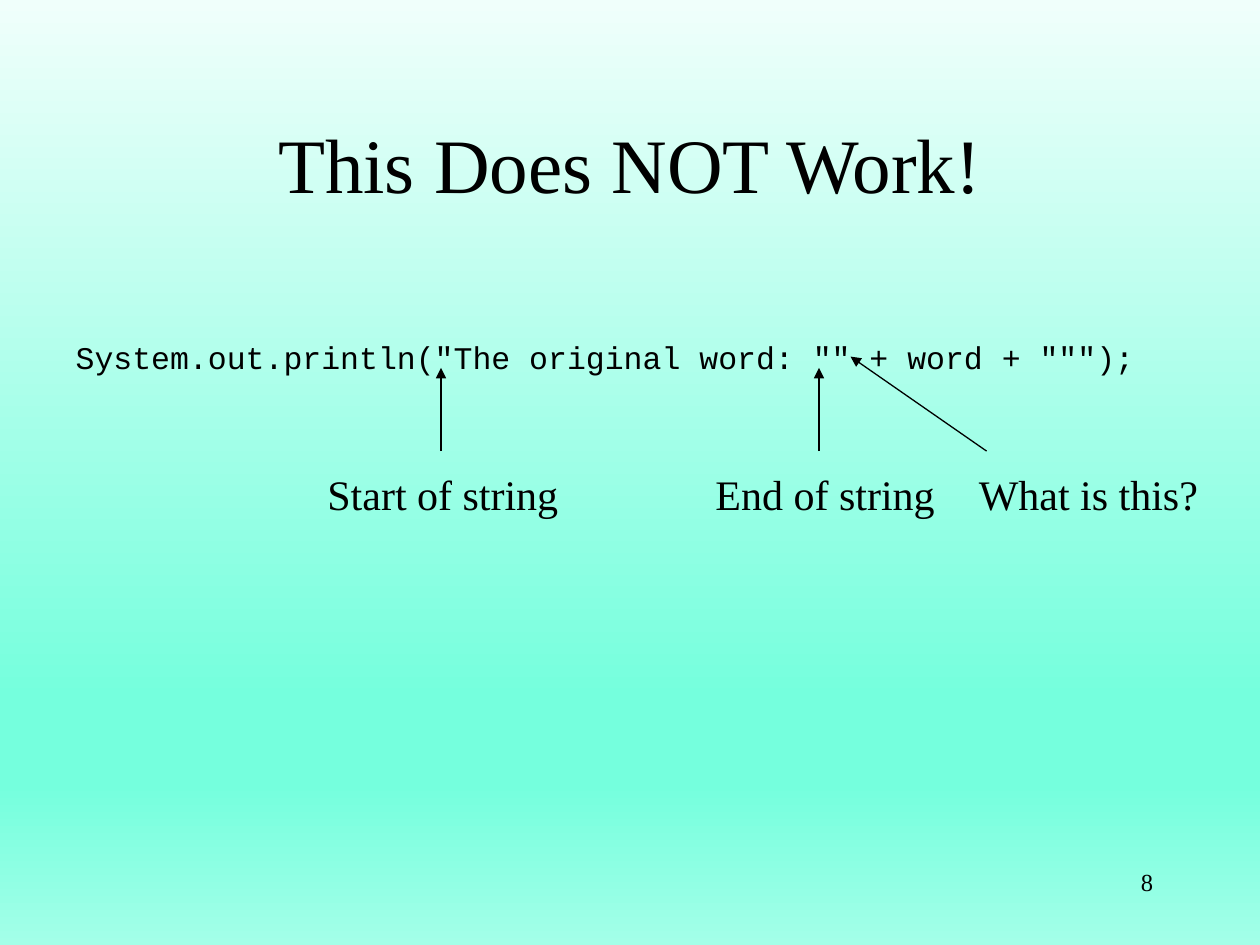
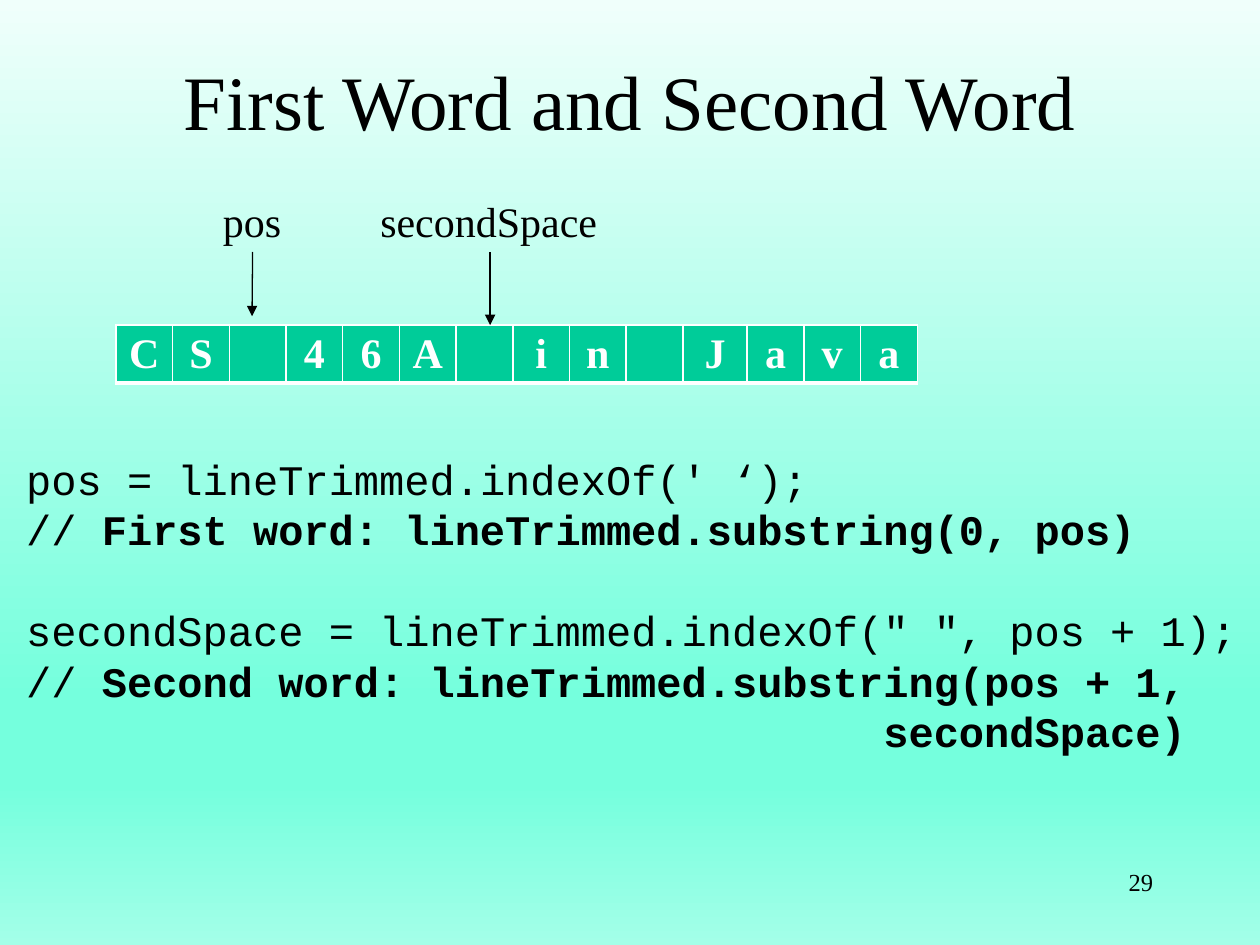
from dataclasses import dataclass
from typing import Optional

import lxml.etree
import pptx
import pptx.dml.color
import pptx.enum.shapes
import pptx.enum.text
import pptx.oxml
import pptx.oxml.ns
import pptx.util

Inches = pptx.util.Inches
Pt = pptx.util.Pt
Align = pptx.enum.text.PP_ALIGN
Anchor = pptx.enum.text.MSO_ANCHOR
Fit = pptx.enum.text.MSO_AUTO_SIZE
qn = pptx.oxml.ns.qn

SERIF, MONO = "Times New Roman", "Courier New"
BLACK, WHITE, GREEN = "000000", "FFFFFF", "00CC99"
STOPS = [(0, "F0FFFB"), (74, "75FFDD"), (83, "75FFDD"), (100, "A3FFE8")]
CELL, WIDE = 0.45, 0.51
STEP = 28.8  # line pitch of the 24 pt code


@dataclass
class Label:
    text: str
    left: float
    top: float
    width: float


@dataclass
class Arrow:
    start: tuple[float, float]
    end: tuple[float, float]
    label: Optional[int] = None  # label whose bottom the arrow leaves


@dataclass
class Code:
    plain: str
    bold: str = ""
    gap: float = 0


def color(text: str):
    return pptx.dml.color.RGBColor.from_string(text)


def style(font, size: float, name: str = SERIF, tint: str = BLACK, bold: bool = False) -> None:
    font.size, font.name, font.bold = Pt(size), name, bold
    font.color.rgb = color(tint)


def place(shape, left: float, top: float, width: float, height: float) -> None:
    shape.left, shape.top = Inches(left), Inches(top)
    shape.width, shape.height = Inches(width), Inches(height)


def add_stop(stops, spot: int, tint: str) -> None:
    stop = lxml.etree.SubElement(stops, qn("a:gs"), pos=str(spot * 1000))
    lxml.etree.SubElement(stop, qn("a:srgbClr"), val=tint)


def paint(master) -> None:
    """Give every slide the vertical gradient."""
    fill = master.background.fill
    fill.gradient()
    fill.gradient_angle = 270
    stops = master.element.xpath("./p:cSld/p:bg//a:gsLst")[0]
    for old in list(stops):
        stops.remove(old)
    for spot, tint in STOPS:
        add_stop(stops, spot, tint)


def add_text(slide, left: float, top: float, width: float, height: float):
    box = slide.shapes.add_textbox(*map(Inches, (left, top, width, height)))
    box.text_frame.word_wrap = True
    return box


def add_page(deck, layout: int, title: str, top: float, height: float, number: int):
    slide = deck.slides.add_slide(deck.slide_layouts[layout])
    head = slide.shapes.title
    place(head, 0.75, top, 8.5, height)
    frame = head.text_frame
    frame.text = title
    frame.auto_size = Fit.NONE
    frame.vertical_anchor = Anchor.MIDDLE
    frame.paragraphs[0].alignment = Align.CENTER
    style(frame.paragraphs[0].runs[0].font, 44)

    foot = add_text(slide, 7.17, 6.83, 2.08, 0.5).text_frame
    foot.text = str(number)
    foot.paragraphs[0].alignment = Align.RIGHT
    style(foot.paragraphs[0].runs[0].font, 14)
    return slide


def add_label(slide, label: Label):
    box = add_text(slide, label.left, label.top, label.width, 0.5)
    frame = box.text_frame
    frame.word_wrap = False
    frame.auto_size = Fit.SHAPE_TO_FIT_TEXT
    frame.text = label.text
    style(frame.paragraphs[0].runs[0].font, 24)
    return box


def add_arrow(slide, arrow: Arrow, boxes: list) -> None:
    kind = pptx.enum.shapes.MSO_CONNECTOR.STRAIGHT
    line = slide.shapes.add_connector(kind, *map(Inches, arrow.start + arrow.end))
    line.line.width = Pt(0.75)
    line.line.color.rgb = color(BLACK)
    if arrow.label is not None:
        line.begin_connect(boxes[arrow.label], 2)
    props = line.element.spPr
    lxml.etree.SubElement(props.find(qn("a:ln")), qn("a:tailEnd"), type="triangle")
    lxml.etree.SubElement(props, qn("a:effectLst"))


def add_notes(slide, labels: list[Label], arrows: list[Arrow]) -> None:
    """Draw the labels and the arrows that go with them."""
    boxes = [add_label(slide, label) for label in labels]
    for arrow in arrows:
        add_arrow(slide, arrow, boxes)


def add_edges(cell) -> None:
    props = cell._tc.get_or_add_tcPr()
    for spot, (side, width) in enumerate([("L", 1), ("R", 1), ("T", 1), ("B", 3)]):
        edge = lxml.etree.Element(qn(f"a:ln{side}"), w=str(Pt(width)))
        fill = lxml.etree.SubElement(edge, qn("a:solidFill"))
        lxml.etree.SubElement(fill, qn("a:srgbClr"), val=WHITE)
        props.insert(spot, edge)


def add_chars(slide, text: str) -> None:
    """Show a string as a row of one-letter cells."""
    widths = [WIDE if char == "J" else CELL for char in text]
    size = map(Inches, (0.92, 2.58, sum(widths), 0.41))
    table = slide.shapes.add_table(1, len(text), *size).table
    for spot, (char, width) in enumerate(zip(text, widths)):
        table.columns[spot].width = Inches(width)
        cell = table.cell(0, spot)
        cell.fill.solid()
        cell.fill.fore_color.rgb = color(GREEN)
        cell.margin_top = cell.margin_bottom = Inches(0.03)
        cell.vertical_anchor = Anchor.MIDDLE
        cell.text = char.strip()
        para = cell.text_frame.paragraphs[0]
        para.alignment = Align.CENTER
        for run in para.runs:
            style(run.font, 24, tint=WHITE, bold=True)
        add_edges(cell)


def add_code(slide, lines: list[Code]) -> None:
    frame = add_text(slide, 0.11, 3.5, 9.81, 2.93).text_frame
    frame.margin_top, frame.margin_right = Inches(0.1), 0
    for spot, line in enumerate(lines):
        para = frame.add_paragraph() if spot else frame.paragraphs[0]
        para.line_spacing = Pt(STEP)
        para.space_before = Pt(line.gap)
        for text, bold in ((line.plain, False), (line.bold, True)):
            if text:
                run = para.add_run()
                run.text = text
                style(run.font, 24, MONO, bold=bold)


def quote_page(deck) -> None:
    slide = add_page(deck, 1, "This Does NOT Work!", 0.67, 1.25, 8)
    body = slide.placeholders[1]
    place(body, 0.5, 2.25, 8.83, 4.25)
    frame = body.text_frame
    frame.auto_size = Fit.NONE
    frame.margin_top = Inches(0.43)
    frame.text = 'System.out.println("The original word: "" + word + """);'
    para = frame.paragraphs[0]
    props = para._p.get_or_add_pPr()
    props.set("marL", "0")
    props.set("indent", "0")
    lxml.etree.SubElement(props, qn("a:buNone"))
    para.space_before = Pt(0)
    style(para.runs[0].font, 18, MONO)
    add_notes(
        slide,
        [
            Label("Start of string", 2.5, 3.67, 2.05),
            Label("End of string", 5.58, 3.67, 1.96),
            Label("What is this?", 7.67, 3.67, 1.96),
        ],
        [
            Arrow((3.5, 3.58), (3.5, 2.92)),
            Arrow((6.5, 3.58), (6.5, 2.92)),
            Arrow((7.83, 3.58), (6.75, 2.83)),
        ],
    )


def word_page(deck) -> None:
    slide = add_page(deck, 5, "First Word and Second Word", 0.33, 0.92, 29)
    add_chars(slide, "CS 46A in Java")
    add_code(
        slide,
        [
            Code("pos = lineTrimmed.indexOf(' ‘);"),
            Code("// ", "First word: lineTrimmed.substring(0, pos)"),
            Code('secondSpace = lineTrimmed.indexOf(" ", pos + 1);', gap=STEP),
            Code("// ", "Second word: lineTrimmed.substring(pos + 1,"),
            Code("", "                                  secondSpace)"),
        ],
    )
    add_notes(
        slide,
        [Label("pos", 1.67, 1.5, 0.67), Label("secondSpace", 2.92, 1.5, 1.94)],
        [Arrow((2, 2), (2, 2.51), 0), Arrow((3.89, 2), (3.89, 2.58), 1)],
    )


def main() -> None:
    deck = pptx.Presentation()
    deck.slide_width, deck.slide_height = Inches(10), Inches(7.5)
    paint(deck.slide_master)
    quote_page(deck)
    word_page(deck)
    deck.save("out.pptx")


if __name__ == "__main__":
    main()
